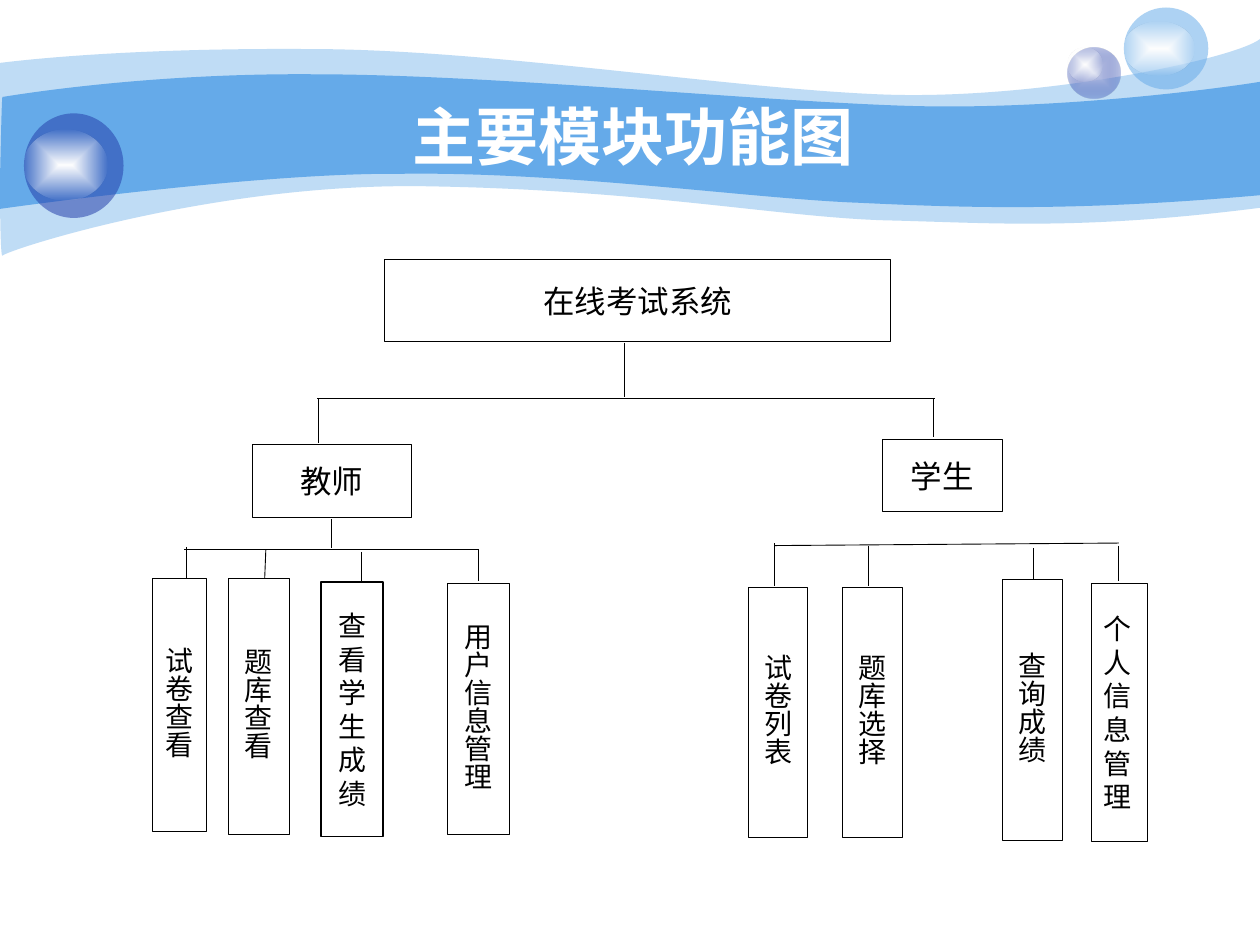
from pptx import Presentation
from pptx.dml.color import RGBColor
from pptx.enum.shapes import MSO_CONNECTOR, MSO_SHAPE
from pptx.enum.text import MSO_ANCHOR, PP_ALIGN
from pptx.oxml import parse_xml
from pptx.oxml.ns import qn
from pptx.util import Cm, Pt
from lxml import etree

RECT, OVAL, LINE = MSO_SHAPE.RECTANGLE, MSO_SHAPE.OVAL, MSO_CONNECTOR.STRAIGHT
MID, CENTER, JUST = MSO_ANCHOR.MIDDLE, PP_ALIGN.CENTER, PP_ALIGN.JUSTIFY
NS = "http://schemas.openxmlformats.org/drawingml/2006/main"
HEX = {"sky": "65AAE9", "navy": "233DA9", "mist": "C7CEE9",
       "white": "FFFFFF", "black": "000000"}
SERIF, SANS = "Times New Roman", "Arial"

# Content: all places are in inches
TITLE = ("主要模块功能图", (0.98, 0.76, 8.08, 0.62))

# Waves in hundredths of an inch: alpha, start, then curves (three points)
# and straight lines (one point)
WAVES = [
    (41, (0, 50), [
        [(24, 47), (108, 38), (247, 39)],
        [(386, 39), (575, 70), (699, 75)],
        [(822, 80), (980, 47), (1000, 31)],
        [(1000, 165)],
        [(858, 183), (788, 177), (705, 175)],
        [(622, 173), (515, 151), (343, 148)],
        [(172, 144), (4, 199), (2, 203)],
        [(-1, 208), (0, 75), (0, 50)]]),
    (100, (2, 77), [
        [(3, 77), (110, 58), (248, 59)],
        [(387, 59), (596, 80), (718, 84)],
        [(841, 88), (976, 69), (1000, 65)],
        [(1000, 155)],
        [(853, 168), (766, 165), (682, 161)],
        [(599, 158), (447, 136), (317, 138)],
        [(203, 137), (-2, 166), (-1, 166)],
        [(0, 166), (1, 77), (2, 77)]]),
]

# Balls: place, colour stops (colour, alpha), place of the shine
BALLS = [
    ((8.47, 0.38, 0.42, 0.4), [("mist", 100), ("navy", 31)], (8.47, 0.38, 0.28, 0.27)),
    ((8.92, 0.06, 0.67, 0.65), [("sky", 53)], (8.92, 0.17, 0.56, 0.43)),
    ((0.19, 0.9, 0.79, 0.83), [("navy", 53)], (0.19, 1.03, 0.66, 0.56)),
]
SHINE = [("white", 100), ("white", 0)]

HEADS = [
    ("在线考试系统", (3.05, 2.06, 4.02, 0.65)),
    ("教师", (2, 3.53, 1.27, 0.58)),
    ("学生", (7, 3.49, 0.96, 0.57)),
]

# Leaves: text, place, font, line width, align, tight line spacing
LEAVES = [
    ("试卷查看", (1.21, 4.59, 0.43, 2.01), SERIF, 0.5, CENTER, True),
    ("题库查看", (1.81, 4.59, 0.49, 2.03), SERIF, 0.5, CENTER, True),
    ("用户信息管理", (3.55, 4.63, 0.49, 1.99), SERIF, 0.5, CENTER, True),
    ("试卷列表", (5.94, 4.66, 0.47, 1.99), SERIF, 0.5, CENTER, True),
    ("题库选择", (6.69, 4.66, 0.47, 1.99), SERIF, 0.5, CENTER, True),
    ("查询成绩", (7.96, 4.6, 0.47, 2.07), SERIF, 0.5, CENTER, True),
    ("个人信息管理", (8.66, 4.63, 0.45, 2.05), SERIF, 0.5, JUST, False),
    ("查看学生成绩", (2.55, 4.62, 0.49, 2.02), SANS, 1, CENTER, False),
]

BARS = [(2.52, 3.16, 7.42, 3.16), (1.46, 4.36, 3.8, 4.36), (6.15, 4.33, 8.88, 4.31)]
# Drops: x, top, bottom
DROPS = [
    (4.96, 2.72, 3.15), (2.53, 3.16, 3.52), (7.41, 3.16, 3.47), (2.63, 4.12, 4.35),
    (1.48, 4.34, 4.59), (2.87, 4.38, 4.62), (3.8, 4.36, 4.61),
    (6.15, 4.31, 4.65), (6.89, 4.33, 4.65), (8.2, 4.35, 4.61), (8.88, 4.33, 4.61),
]
SLANT = (2.11, 4.36, 2.1, 4.61)


def inch(num):
    return Cm(num * 2.54)


def tint(name):
    return RGBColor.from_string(HEX[name])


def paint(shape, stops):
    """Fill with one colour, or with a gradient from the centre out."""
    shape.shadow.inherit = False
    shape.line.fill.background()
    shape.fill.solid()
    cols = [f'<a:srgbClr val="{HEX[name]}"><a:alpha val="{alpha * 1000}"/></a:srgbClr>'
            for name, alpha in stops]
    if len(cols) == 1:
        xml = f'<a:solidFill xmlns:a="{NS}">{cols[0]}</a:solidFill>'
    else:
        marks = "".join(f'<a:gs pos="{i * 100000}">{col}</a:gs>'
                        for i, col in enumerate(cols))
        xml = (f'<a:gradFill xmlns:a="{NS}" rotWithShape="1"><a:gsLst>{marks}</a:gsLst>'
               '<a:path path="shape"><a:fillToRect l="50000" t="50000" r="50000" '
               'b="50000"/></a:path></a:gradFill>')
    props = shape.element.spPr
    props.replace(props.find(qn("a:solidFill")), parse_xml(xml))


def wave(slide, start, parts):
    """Outline all points, then bend each run of three into a curve."""
    pen = slide.shapes.build_freeform(*start, scale=inch(0.01))
    pen.add_line_segments([dot for part in parts for dot in part], close=True)
    shape = pen.convert_to_shape()
    track = shape.element.find(".//" + qn("a:path"))
    steps = iter(track.findall(qn("a:lnTo")))
    for part in parts:
        group = [next(steps) for _ in part]
        if len(group) == 3:
            curve = etree.Element(qn("a:cubicBezTo"))
            group[0].addprevious(curve)
            for step in group:
                curve.append(step[0])
                track.remove(step)
    return shape


def write(shape, text, size, font, color="black", align=CENTER, bold=False):
    frame = shape.text_frame
    frame.word_wrap = True
    frame.vertical_anchor = MID
    frame.text = text
    para = frame.paragraphs[0]
    para.alignment = align
    face = para.runs[0].font
    face.size, face.name, face.bold = Pt(size), font, bold
    face.color.rgb = tint(color)
    return para


def box(slide, text, place, size, font=SERIF, width=0.5, align=CENTER):
    shape = slide.shapes.add_shape(RECT, *map(inch, place))
    shape.shadow.inherit = False
    shape.fill.solid()
    shape.fill.fore_color.rgb = tint("white")
    shape.line.color.rgb = tint("black")
    shape.line.width = Pt(width)
    return write(shape, text, size, font, align=align)


def link(slide, ends):
    line = slide.shapes.add_connector(LINE, *map(inch, ends))
    line.line.color.rgb = tint("black")
    line.line.width = Pt(0.5)
    etree.SubElement(line.element.spPr, qn("a:effectLst"))


def main():
    deck = Presentation()
    deck.slide_width, deck.slide_height = inch(10), inch(7.5)
    slide = deck.slides.add_slide(deck.slide_layouts[6])

    # Backdrop
    for alpha, start, parts in WAVES:
        paint(wave(slide, start, parts), [("sky", alpha)])
    for place, stops, spot in BALLS:
        for area, cols in ((place, stops), (spot, SHINE)):
            paint(slide.shapes.add_shape(OVAL, *map(inch, area)), cols)

    # Title
    text, place = TITLE
    write(slide.shapes.add_textbox(*map(inch, place)), text, 36, SANS, "white", bold=True)

    # Tree
    for ends in BARS + [(x, top, x, end) for x, top, end in DROPS] + [SLANT]:
        link(slide, ends)
    for text, place in HEADS:
        box(slide, text, place, 18)
    for text, place, font, width, align, tight in LEAVES:
        para = box(slide, text, place, 16, font, width, align)
        if tight:
            para.line_spacing = Pt(16)

    deck.save("out.pptx")


if __name__ == "__main__":
    main()
